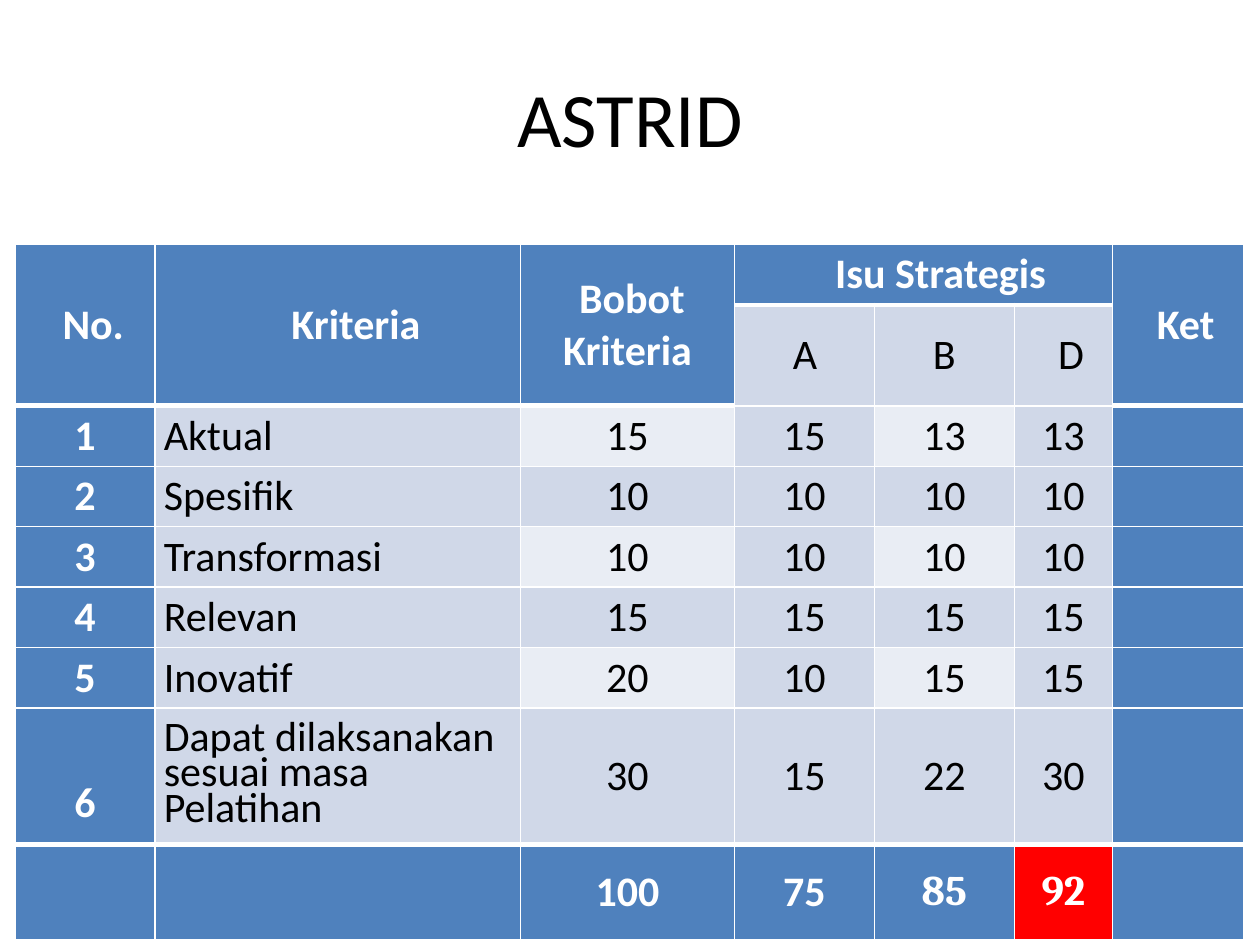
"""Build the ASTRID slide: a weighted criteria table for strategic issues."""
from lxml import etree
from pptx import Presentation
from pptx import util as u
from pptx.dml.color import RGBColor
from pptx.enum import text
from pptx.oxml import ns

WHITE = RGBColor(0xFF, 0xFF, 0xFF)
BLACK = RGBColor(0, 0, 0)
BLUE = RGBColor(0x4F, 0x81, 0xBD)
BAND = RGBColor(0xD0, 0xD8, 0xE8)
PALE = RGBColor(0xE9, 0xED, 0xF4)
RED = RGBColor(0xFF, 0, 0)

TITLE = "ASTRID"
ROWS = [
    ["No.", "Kriteria", "Bobot Kriteria", "Isu Strategis", "", "", "Ket"],
    ["", "", "", "A", "B", "D", ""],
    ["1", "Aktual", "15", "15", "13", "13", ""],
    ["2", "Spesifik", "10", "10", "10", "10", ""],
    ["3", "Transformasi", "10", "10", "10", "10", ""],
    ["4", "Relevan", "15", "15", "15", "15", ""],
    ["5", "Inovatif", "20", "10", "15", "15", ""],
    ["6", "Dapat dilaksanakan sesuai masa\nPelatihan", "30", "15", "22", "30", ""],
    ["", "", "100", "75", "85", "92", ""],
]
COL_WIDTHS = [1.11, 2.9, 1.7, 1.11, 1.11, 0.78, 1.04]
ROW_HEIGHTS = [0.48] * 7 + [1.08, 0.76]
MERGES = [(0, 0, 1, 0), (0, 1, 1, 1), (0, 2, 1, 2), (0, 3, 0, 5), (0, 6, 1, 6)]
ISSUES = (3, 4, 5)
LAST = len(ROWS) - 1

# Left indent, right indent and first-line indent of each column
HEAD_INDENTS = [(0.13, 0, 0), (0.29, 0, 0), (0.22, 0.22, 0.07), (0.27, 0, 0),
                (0, 0, 0), (0, 0, 0), (0.12, 0, 0)]
ISSUE_INDENTS = {3: (0.01, 0, 0), 5: (0.12, 0, 0)}
BODY_INDENTS = [(0, 0, 0), (0.07, 0, 0), (0.39, 0.39, 0), (0.15, 0.15, 0),
                (0.15, 0.15, 0), (0.09, 0.09, 0), (0, 0, 0)]


def is_head(r, c):
    return r in (0, LAST) or c in (0, 6) or (r == 1 and c not in ISSUES)


def fill_color(r, c):
    if (r, c) == (LAST, 5):
        return RED
    if is_head(r, c):
        return BLUE
    return PALE if c in (2, 4) and r in (2, 4, 6) else BAND


def rule_width(r, c):
    head_end = 1 if c in ISSUES else 2
    return 3 if r in (head_end, LAST) else 1


def indents(r, c):
    if r == 0:
        return HEAD_INDENTS[c]
    if r == 1:
        return ISSUE_INDENTS.get(c, (0, 0, 0))
    return BODY_INDENTS[c]


def add_border(cell, side, width):
    ln = etree.SubElement(cell._tc.get_or_add_tcPr(), ns.qn("a:ln" + side),
                          w=str(u.Pt(width)))
    fill = etree.SubElement(ln, ns.qn("a:solidFill"))
    etree.SubElement(fill, ns.qn("a:srgbClr"), val=str(WHITE))


def style_cell(cell, r, c):
    widths = {"L": 1, "R": 1, "T": rule_width(r, c), "B": rule_width(r + 1, c)}
    for side, width in widths.items():
        add_border(cell, side, width)
    cell.fill.solid()
    cell.fill.fore_color.rgb = fill_color(r, c)
    cell.vertical_anchor = text.MSO_ANCHOR.MIDDLE
    cell.margin_left = cell.margin_right = cell.margin_top = cell.margin_bottom = 0
    if ROWS[r][c] == "6":
        cell.margin_top = u.Inches(0.43)


def write_cell(cell, r, c):
    cell.text = ROWS[r][c]
    body_name = c == 1 and 1 < r < LAST
    for p in cell.text_frame.paragraphs:
        p.alignment = text.PP_ALIGN.LEFT if body_name else text.PP_ALIGN.CENTER
        if "\n" in ROWS[r][c]:
            p.line_spacing = 0.7
        for name, value in zip(("marL", "marR", "indent"), indents(r, c)):
            p._p.get_or_add_pPr().set(name, str(u.Inches(value)))
        p.font.name = "Cambria" if r == LAST and c in (4, 5) else "Calibri"
        p.font.size = u.Pt(24)
        p.font.bold = is_head(r, c)
        p.font.color.rgb = WHITE if is_head(r, c) else BLACK


def add_title(s):
    box = s.shapes.add_textbox(u.Inches(0.5), u.Inches(0.3), u.Inches(9), u.Inches(1.25))
    tf = box.text_frame
    tf.word_wrap = True
    tf.vertical_anchor = text.MSO_ANCHOR.MIDDLE
    p = tf.paragraphs[0]
    p.text = TITLE
    p.alignment = text.PP_ALIGN.CENTER
    p.font.name = "Calibri"
    p.font.size = u.Pt(44)
    p.font.color.rgb = BLACK


def add_criteria_table(s):
    frame = s.shapes.add_table(len(ROWS), len(COL_WIDTHS), u.Inches(0.12), u.Inches(1.94),
                               u.Inches(sum(COL_WIDTHS)), u.Inches(sum(ROW_HEIGHTS)))
    table = frame.table
    for column, width in zip(table.columns, COL_WIDTHS):
        column.width = u.Inches(width)
    for row, height in zip(table.rows, ROW_HEIGHTS):
        row.height = u.Inches(height)
    for top, left, bottom, right in MERGES:
        table.cell(top, left).merge(table.cell(bottom, right))
    for r, values in enumerate(ROWS):
        for c, value in enumerate(values):
            style_cell(table.cell(r, c), r, c)
            if value:
                write_cell(table.cell(r, c), r, c)


def main():
    prs = Presentation()
    prs.slide_width, prs.slide_height = u.Inches(10), u.Inches(7.5)
    s = prs.slides.add_slide(prs.slide_layouts[6])
    add_title(s)
    add_criteria_table(s)
    prs.save("out.pptx")


if __name__ == "__main__":
    main()
